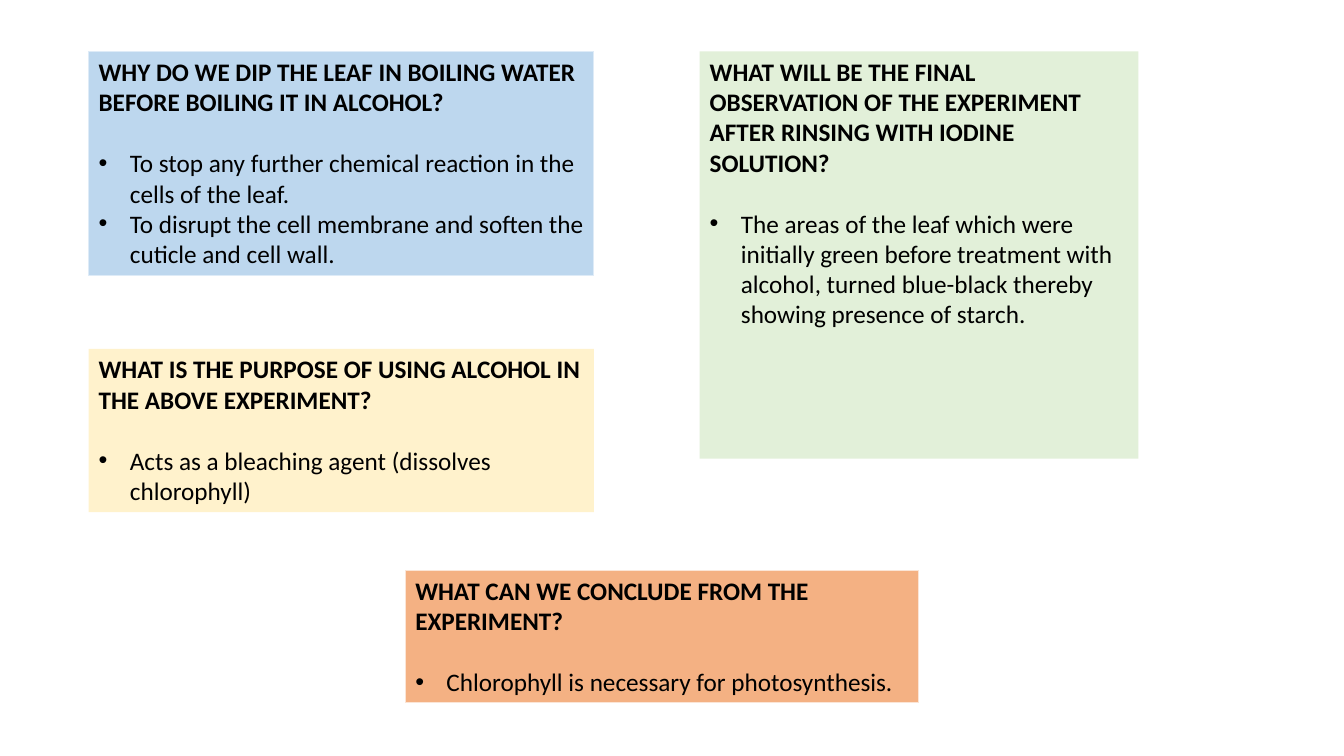
from dataclasses import dataclass

from lxml import etree
from pptx import Presentation
from pptx.dml.color import RGBColor
from pptx.enum.text import MSO_ANCHOR, MSO_AUTO_SIZE, PP_ALIGN
from pptx.oxml.ns import qn
from pptx.util import Pt

PX = 9144
FONT = "Calibri"
TEXT_SIZE = 18
QUESTION_GAP = 22
BULLET_INDENT = 31
TOP = MSO_ANCHOR.TOP
FIXED_SIZE = MSO_AUTO_SIZE.NONE
LEFT = PP_ALIGN.LEFT

COLORS = {
    "text": "000000",
    "blue": "BDD7EE",
    "blue_edge": "DEEBF7",
    "yellow": "FFF2CC",
    "green": "E2F0D9",
    "orange": "F4B183",
    "orange_edge": "FBE5D6",
}


@dataclass(frozen=True)
class Card:
    left: int
    top: int
    width: int
    height: int
    fill: str
    question: str
    answers: tuple[str, ...]
    edge: str = ""


CARDS = (
    Card(88, 51, 501, 222, "blue",
         "WHY DO WE DIP THE LEAF IN BOILING WATER BEFORE BOILING IT IN ALCOHOL?",
         ("To stop any further chemical reaction in the cells of the leaf.",
          "To disrupt the cell membrane and soften the cuticle and cell wall."),
         "blue_edge"),
    Card(88, 346, 501, 162, "yellow",
         "WHAT IS THE PURPOSE OF USING ALCOHOL IN THE ABOVE EXPERIMENT?",
         ("Acts as a bleaching agent (dissolves chlorophyll)",)),
    Card(694, 51, 435, 404, "green",
         "WHAT WILL BE THE FINAL OBSERVATION OF THE EXPERIMENT AFTER RINSING "
         "WITH IODINE SOLUTION?",
         ("The areas of the leaf which were initially green before treatment "
          "with alcohol, turned blue-black thereby showing presence of starch.",)),
    Card(402, 566, 509, 131, "orange",
         "WHAT CAN WE CONCLUDE FROM THE EXPERIMENT?",
         ("Chlorophyll is necessary for photosynthesis.",),
         "orange_edge"),
)


def px(n: int) -> int:
    return n * PX


def color(name: str) -> RGBColor:
    return RGBColor.from_string(COLORS[name])


def write(p, text: str, bold: bool) -> None:
    p.text = text
    p.alignment = LEFT
    for r in p.runs:
        r.font.name = FONT
        r.font.size = Pt(TEXT_SIZE)
        r.font.bold = bold
        r.font.color.rgb = color("text")


def add_bullet(p) -> None:
    pPr = p._p.get_or_add_pPr()
    pPr.set("marL", str(px(BULLET_INDENT)))
    pPr.set("indent", str(-px(BULLET_INDENT)))
    etree.SubElement(pPr, qn("a:buFont")).set("typeface", "Arial")
    etree.SubElement(pPr, qn("a:buChar")).set("char", "•")


def add_card(s, card: Card) -> None:
    sp = s.shapes.add_textbox(px(card.left), px(card.top), px(card.width), px(card.height))
    sp.fill.solid()
    sp.fill.fore_color.rgb = color(card.fill)
    if card.edge:
        sp.line.color.rgb = color(card.edge)
        sp.line.width = Pt(0.75)
    tf = sp.text_frame
    tf.word_wrap = True
    tf.auto_size = FIXED_SIZE
    tf.vertical_anchor = TOP
    p = tf.paragraphs[0]
    write(p, card.question, True)
    p.space_after = Pt(QUESTION_GAP)
    for answer in card.answers:
        p = tf.add_paragraph()
        write(p, answer, False)
        add_bullet(p)


def main() -> None:
    prs = Presentation()
    prs.slide_width, prs.slide_height = px(1333), px(750)
    s = prs.slides.add_slide(prs.slide_layouts[6])
    for card in CARDS:
        add_card(s, card)
    prs.save("out.pptx")


if __name__ == "__main__":
    main()
